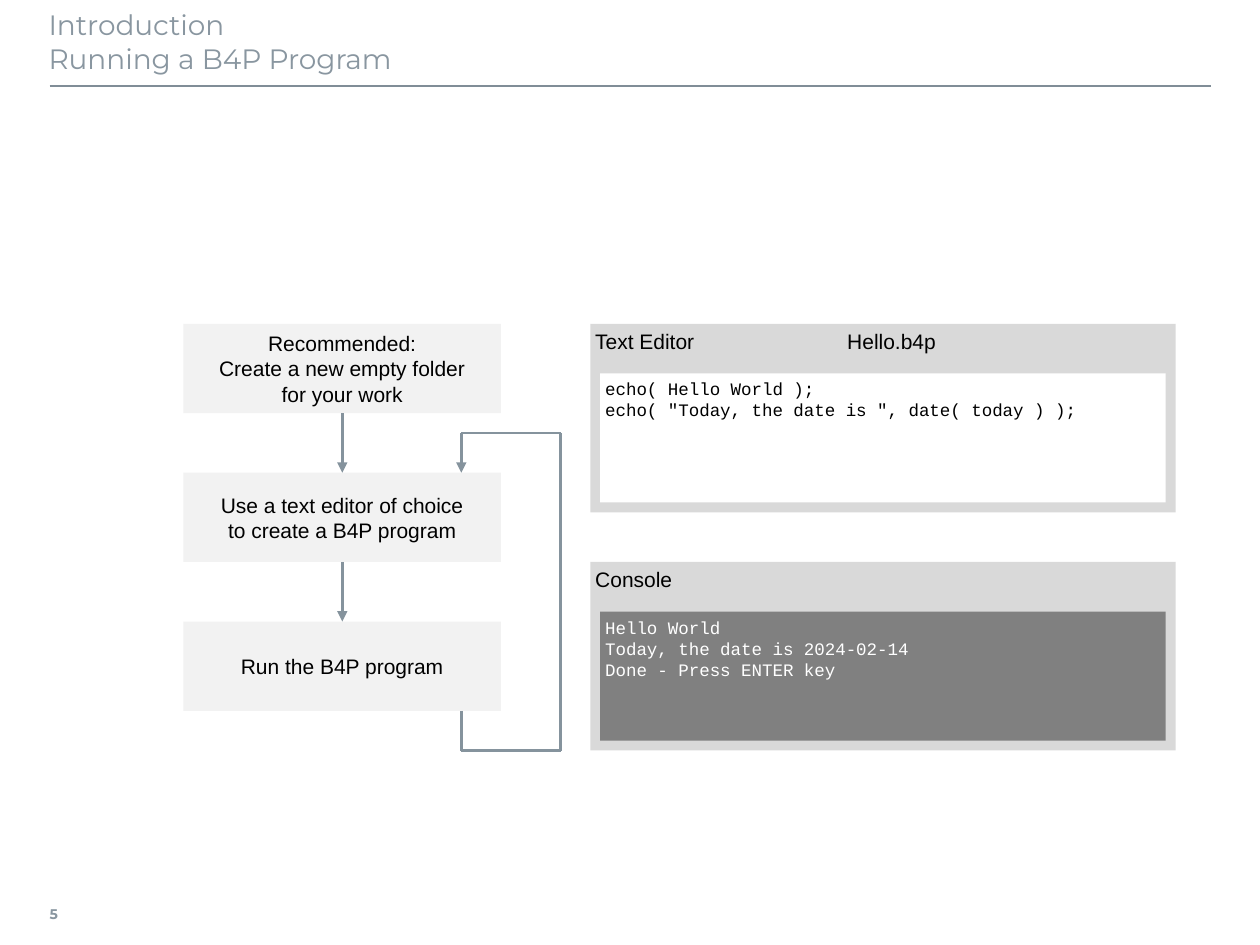
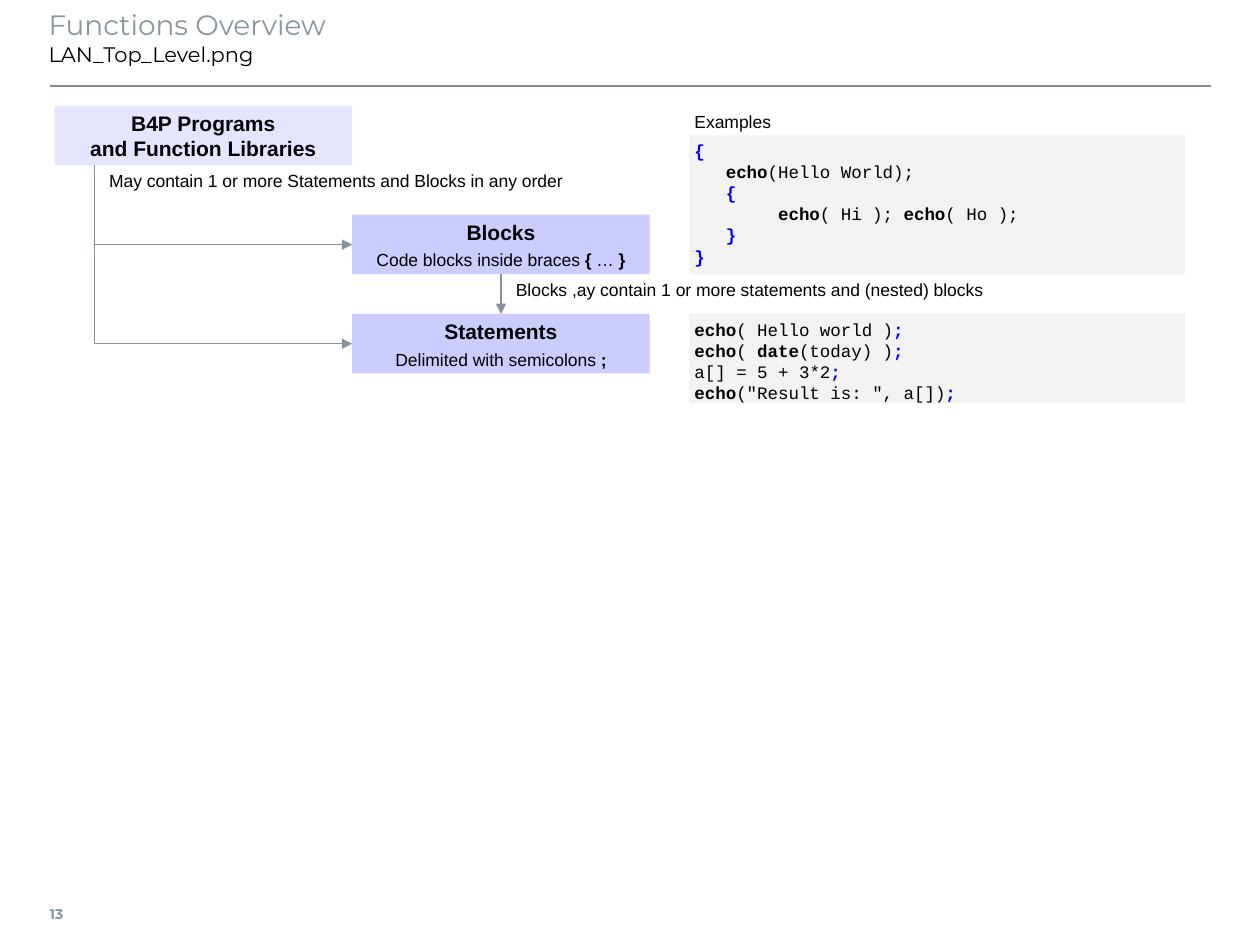
from dataclasses import dataclass

from pptx import Presentation
from pptx.dml.color import RGBColor
from pptx.enum.shapes import MSO_CONNECTOR as Connector, MSO_SHAPE as Shape
from pptx.enum.text import MSO_ANCHOR as Anchor, PP_ALIGN as Align
from pptx.oxml.ns import qn
from pptx.util import Inches, Mm, Pt
from lxml.etree import SubElement


@dataclass
class TextStyle:
    font: str
    size: float
    color: str
    bold: bool = False
    align: Align = Align.LEFT
    anchor: Anchor = Anchor.TOP
    left_inset: int = Mm(1)
    inset: int = Mm(1)
    wrap: bool = False
    accent: str = ""


class Theme:
    black, white, blue = "000000", "FFFFFF", "0000FF"
    rule, arrow = "808D97", "85939D"
    step, window, console = "F2F2F2", "D9D9D9", "808080"
    pale_violet, violet = "E5E5FF", "CCCCFF"
    heading = TextStyle("Montserrat", 16, "8996A0", left_inset=0, inset=Inches(0.05), wrap=True)
    subheading_size = 12
    page_number = TextStyle("Montserrat", 8, "8996A0", bold=True, anchor=Anchor.MIDDLE,
                            left_inset=0, inset=Inches(0.05))
    step_text = TextStyle("Arial", 12, black, align=Align.CENTER, anchor=Anchor.MIDDLE)
    window_title = TextStyle("Arial", 12, black)
    box_title = TextStyle("Arial", 12, black, bold=True, align=Align.CENTER)
    box_note = TextStyle("Arial", 10, black, align=Align.CENTER)
    note = TextStyle("Arial", 10, black)
    code = TextStyle("Courier New", 10, black, accent=blue)
    output = TextStyle("Courier New", 10, white)


# The grid has square cells; column 0, row 0 is the top left of the content area.
CELL, LEFT, TOP = Mm(2), Mm(11), Mm(21.3)


def add_block(slide, column, row, columns, rows, fill, style, text):
    """Place text on the grid; parts between bars in the text switch to bold."""
    place = (LEFT + int(column * CELL), TOP + int(row * CELL),
             int(columns * CELL), int(rows * CELL))
    if fill:
        shape = slide.shapes.add_shape(Shape.RECTANGLE, *place)
        shape.shadow.inherit = False
        shape.fill.solid()
        shape.fill.fore_color.rgb = RGBColor.from_string(fill)
        shape.line.fill.background()
    else:
        shape = slide.shapes.add_textbox(*place)
    frame = shape.text_frame
    frame.word_wrap = style.wrap
    frame.vertical_anchor = style.anchor
    frame.margin_left = style.left_inset
    frame.margin_top = frame.margin_right = frame.margin_bottom = style.inset
    for index, line in enumerate(text.split("\n")):
        paragraph = frame.add_paragraph() if index else frame.paragraphs[0]
        paragraph.alignment = style.align
        if "\t" in line:
            tabs = SubElement(paragraph._p.get_or_add_pPr(), qn("a:tabLst"))
            SubElement(tabs, qn("a:tab"), pos=str(Inches(2)), algn="l")
        for part, piece in enumerate(line.split("|")):
            if not piece:
                continue
            marked = part % 2 == 1
            run = paragraph.add_run()
            run.text = piece
            run.font.name = style.font
            run.font.size = Pt(style.size)
            run.font.bold = style.bold or marked
            accented = style.accent and marked and piece in "{};"
            run.font.color.rgb = RGBColor.from_string(style.accent if accented else style.color)
    return shape


def add_line(slide, start, end, color, width, arrow=False):
    (x1, y1), (x2, y2) = [(LEFT + int(x * CELL), TOP + int(y * CELL)) for x, y in (start, end)]
    connector = slide.shapes.add_connector(Connector.STRAIGHT, x1, y1, x2, y2)
    connector.line.color.rgb = RGBColor.from_string(color)
    connector.line.width = Pt(width)
    if arrow:
        SubElement(connector.line._get_or_add_ln(), qn("a:tailEnd"), type="triangle")
    SubElement(connector._element.spPr, qn("a:effectLst"))


presentation = Presentation()
presentation.slide_width, presentation.slide_height = Inches(10), Inches(7.5)

# Shared frame: title, rule and page number
slides, titles = [], []
for title, number in (("Introduction\nRunning a B4P Program", "5"),
                      ("Functions Overview\nLAN_Top_Level.png", "13")):
    slide = presentation.slides.add_slide(presentation.slide_layouts[6])
    add_line(slide, (-0.5, -2), (116.6, -2), Theme.rule, 1)
    add_block(slide, -0.5, 79, 4.5, 5, None, Theme.page_number, number)
    titles.append(add_block(slide, -0.6, -10.5, 117, 8, None, Theme.heading, title))
    slides.append(slide)
running, overview = slides

subheading = titles[1].text_frame.paragraphs[1].runs[0].font
subheading.size = Pt(Theme.subheading_size)
subheading.color.rgb = RGBColor.from_string(Theme.black)

# Running a program: three steps, 15 rows apart
steps = ("Recommended:\nCreate a new empty folder\nfor your work",
         "Use a text editor of choice\nto create a B4P program",
         "Run the B4P program")
first_row, pitch, step_height = 22, 15, 9
for index, text in enumerate(steps):
    row = first_row + index * pitch
    add_block(running, 13, row, 32, step_height, Theme.step, Theme.step_text, text)
    if index:
        add_line(running, (29, row - pitch + step_height), (29, row), Theme.arrow, 1.5, True)

# Loop from the last step back to the second
loop = [(41, 61), (41, 65), (51, 65), (51, 33), (41, 33), (41, 37)]
for start, end in zip(loop, loop[1:]):
    add_line(running, start, end, Theme.arrow, 1.5, end == loop[-1])

# Editor and console windows
windows = (
    (22, "Text Editor\tHello.b4p", Theme.white, Theme.code,
     'echo( Hello World );\necho( "Today, the date is ", date( today ) );'),
    (46, "Console", Theme.console, Theme.output,
     "Hello World\nToday, the date is 2024-02-14\nDone - Press ENTER key"),
)
for row, title, fill, style, content in windows:
    add_block(running, 54, row, 59, 19, Theme.window, Theme.window_title, title)
    add_block(running, 55, row + 5, 57, 13, fill, style, content)

# Functions overview: boxes, notes and code examples
nested_code = """|{|
   |echo|(Hello World);
   |{|
        |echo|( Hi ); |echo|( Ho );
   |}|
|}|"""
statement_code = """|echo|( Hello world )|;|
|echo|( |date|(today) )|;|
a[] = 5 + 3*2|;|
|echo|("Result is: ", a[])|;|"""
overview_blocks = (
    (0, 0, 30, 6, Theme.pale_violet, Theme.box_title, "B4P Programs\nand Function Libraries"),
    (30, 11, 30, 6, Theme.violet, Theme.box_title, "Blocks"),
    (30, 21, 30, 6, Theme.violet, Theme.box_title, "Statements"),
    (30, 14, 30, 3, None, Theme.box_note, "Code blocks inside braces |{| … |}|"),
    (30, 24, 30, 3, None, Theme.box_note, "Delimited with semicolons |;|"),
    (64, 3, 50, 14, Theme.step, Theme.code, nested_code),
    (64, 21, 50, 9, Theme.step, Theme.code, statement_code),
    (5, 6, 52, 3, None, Theme.note, "May contain 1 or more Statements and Blocks in any order"),
    (46, 17, 52, 3, None, Theme.note,
     "Blocks ,ay contain 1 or more statements and (nested) blocks"),
    (64, 0, 31, 3, None, Theme.note, "Examples"),
)
for block in overview_blocks:
    add_block(overview, *block)

add_line(overview, (4, 6), (4, 24), Theme.arrow, 0.75)
for start, end in (((4, 14), (30, 14)), ((4, 24), (30, 24)), ((45, 17), (45, 21))):
    add_line(overview, start, end, Theme.arrow, 0.75, True)

presentation.save("out.pptx")
